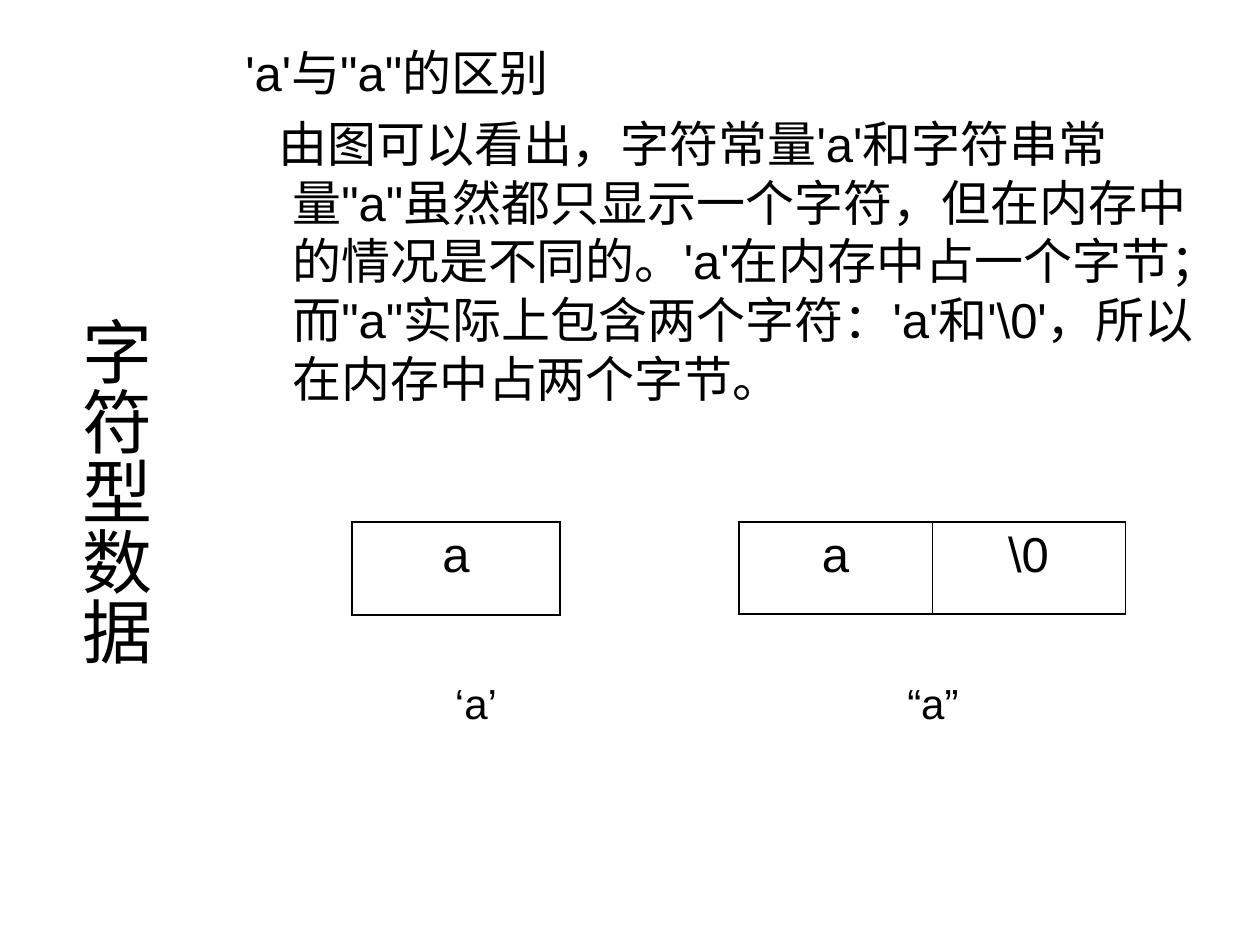
from lxml import etree
from pptx import Presentation
from pptx.dml.color import RGBColor
from pptx.enum.text import PP_ALIGN as Align
from pptx.oxml.ns import qn
from pptx.util import Emu, Pt

PX = 914400 / 126
COLORS = {"ink": "000000"}
THICK, THIN = 1.08, 0.45


def px(*lengths):
    return [Emu(round(length * PX)) for length in lengths]


def write(paragraph, text, size=28, align=Align.LEFT, before=None):
    paragraph.text = text
    paragraph.alignment = align
    if before is not None:
        paragraph.space_before = Pt(before)
    paragraph.font.size = Pt(size)
    paragraph.font.name = "Arial"
    paragraph.font.color.rgb = RGBColor.from_string(COLORS["ink"])


prs = Presentation()
prs.slide_width, prs.slide_height = px(1260, 945)
slide = prs.slides.add_slide(prs.slide_layouts[6])

# Explanation: heading and a paragraph with a hanging indent
explanation = slide.shapes.add_textbox(*px(233, 36, 1002, 624)).text_frame
explanation.word_wrap = True
heading = explanation.paragraphs[0]
body = explanation.add_paragraph()
for paragraph, indent in ((heading, -47), (body, -14)):
    properties = paragraph._p.get_or_add_pPr()
    margin, first_line = px(47, indent)
    properties.set("marL", str(margin))
    properties.set("indent", str(first_line))
    properties.set("hangingPunct", "0")
write(heading, "'a'与\"a\"的区别")
write(
    body,
    "由图可以看出，字符常量'a'和字符串常量\"a\"虽然都只显示一个字符，"
    "但在内存中的情况是不同的。'a'在内存中占一个字节；"
    "而\"a\"实际上包含两个字符：'a'和'\\0'，所以在内存中占两个字节。",
    before=7,
)

# Memory cells: one table for the character, one for the string
for left, cell_width, height, contents, right_edge in (
    (352, 208, 93, ["a"], THICK),
    (739, 193, 92, ["a", "\\0"], THIN),
):
    count = len(contents)
    memory = slide.shapes.add_table(
        1, count, *px(left, 522, cell_width * count, height)
    ).table
    memory.first_row = memory.horz_banding = False
    for column, content in enumerate(contents):
        cell = memory.cell(0, column)
        write(cell.text_frame.paragraphs[0], content, align=Align.CENTER)
        borders = {
            "a:lnL": THIN if column else THICK,
            "a:lnR": right_edge,
            "a:lnT": THICK,
            "a:lnB": THICK,
        }
        cell_properties = cell._tc.get_or_add_tcPr()
        for side, width in borders.items():
            line = etree.SubElement(cell_properties, qn(side), w=str(Pt(width)))
            line_fill = etree.SubElement(line, qn("a:solidFill"))
            etree.SubElement(line_fill, qn("a:srgbClr"), val=COLORS["ink"])
        cell.fill.background()

# Captions under the memory cells
for left, caption in ((362, "‘a’"), (819, "“a”")):
    frame = slide.shapes.add_textbox(*px(left, 671, 228, 63)).text_frame
    frame.word_wrap = True
    write(frame.paragraphs[0], caption, size=24, align=Align.CENTER)

# Vertical title, set down from the top of its box
title = slide.shapes.add_textbox(*px(55, 214, 108, 556)).text_frame
title.word_wrap = True
title.margin_left, title.margin_right = px(6, 6)
title.margin_top, title.margin_bottom = px(103, 13)
title._txBody.bodyPr.set("vert", "eaVert")
write(title.paragraphs[0], "字符型数据", size=40)

prs.save("out.pptx")
